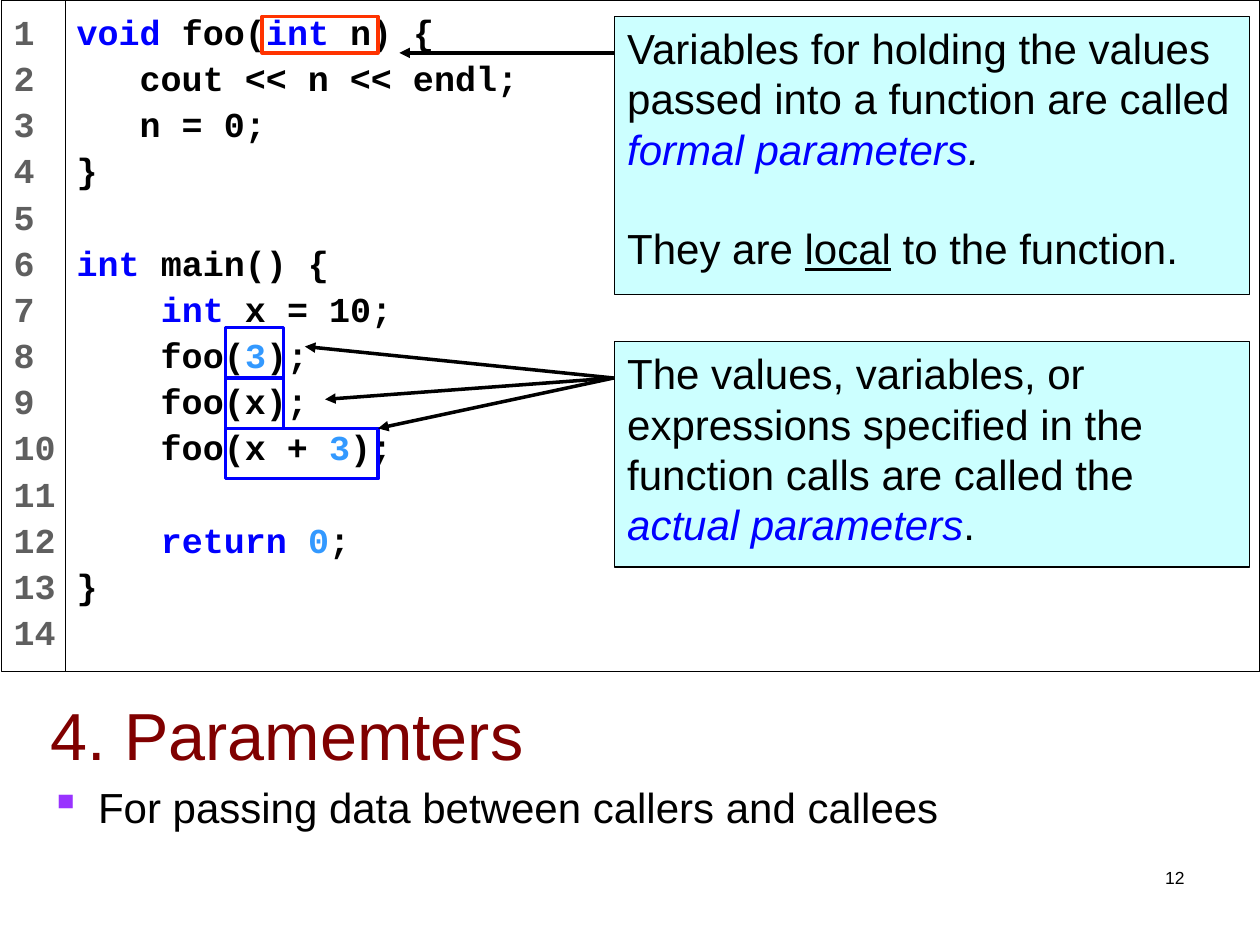
from lxml import etree
from pptx import Presentation
from pptx.dml.color import RGBColor
from pptx.enum.shapes import MSO_CONNECTOR, MSO_SHAPE
from pptx.enum.text import MSO_ANCHOR, PP_ALIGN
from pptx.oxml.ns import qn
from pptx.util import Inches, Pt

RECTANGLE = MSO_SHAPE.RECTANGLE
STRAIGHT = MSO_CONNECTOR.STRAIGHT
TOP, LEFT, RIGHT = MSO_ANCHOR.TOP, PP_ALIGN.LEFT, PP_ALIGN.RIGHT

THEME = {
    "black": "000000", "white": "FFFFFF", "keyword": "0000FF", "number": "3399FF",
    "gray": "5F5F5F", "title": "800000", "bullet": "9933FF", "callout": "CCFFFF",
    "formal": "FF3300", "actual": "0000FF",
    "sans": "Arial", "mono": "Courier New",
    "code_size": 20, "text_size": 24, "title_size": 38, "page_size": 10,
}

# Content: each paragraph is a list of (text, style) runs
CODE = [
    [("void", "keyword"), (" foo(", "code"), ("int", "keyword"), (" n) {", "code")],
    [("   cout << n << endl;", "code")],
    [("   n = 0;", "code")],
    [("}", "code")],
    [],
    [("int", "keyword"), (" main() {", "code")],
    [("    ", "code"), ("int", "keyword"), (" x = 10;", "code")],
    [("    foo(", "code"), ("3", "number"), (");", "code")],
    [("    foo(x);", "code")],
    [("    foo(x + ", "code"), ("3", "number"), (");", "code")],
    [],
    [("    ", "code"), ("return ", "keyword"), ("0", "number"), (";", "code")],
    [("}", "code")],
]
LINE_NUMBERS = [[(str(number), "line_number")] for number in range(1, 15)]
FORMAL_NOTE = [
    [("Variables for holding the values passed into a function are called ", "text"),
     ("formal parameters", "term"), (".", "italic")],
    [("They are ", "text"), ("local", "underlined"), (" to the function.", "text")],
]
ACTUAL_NOTE = [
    [("The values, variables, or expressions specified in the function calls "
      "are called the ", "text"), ("actual parameters", "term"), (".", "text")],
]
TITLE = [[("4. Paramemters", "title")]]
SUMMARY = [[("For passing data between callers and callees", "text")]]
PAGE = [[("12", "page")]]

# Run styles: colour key, font key, size key, extra font attributes
STYLES = {
    "code": ("black", "mono", "code_size", {"bold": True}),
    "keyword": ("keyword", "mono", "code_size", {"bold": True}),
    "number": ("number", "mono", "code_size", {"bold": True}),
    "line_number": ("gray", "mono", "code_size", {"bold": True}),
    "text": ("black", "sans", "text_size", {}),
    "term": ("keyword", "sans", "text_size", {"italic": True}),
    "italic": ("black", "sans", "text_size", {"italic": True}),
    "underlined": ("black", "sans", "text_size", {"underline": True}),
    "title": ("title", "sans", "title_size", {}),
    "page": ("black", "sans", "page_size", {}),
}

# Geometry in inches: left, top, width, height
PANELS = [
    ((0.51, 0, 9.49, 5.33), "white", CODE, {"line_spacing": 1.1}, 0.1),
    ((0.01, 0, 0.51, 5.33), "white", LINE_NUMBERS, {"line_spacing": 1.1}, 0),
    ((4.88, 0.13, 5.04, 2.21), "callout", FORMAL_NOTE, {}, 0.1),
    ((4.88, 2.71, 5.04, 1.79), "callout", ACTUAL_NOTE, {}, 0.1),
]
CALL_LEFT, CALL_TOP, CALL_HEIGHT = 1.79, 2.6, 0.4
CALL_WIDTHS = [0.46, 0.46, 1.21]
FRAMES = [((2.08, 0.13, 0.92, 0.29), "formal")] + [
    ((CALL_LEFT, CALL_TOP + row * CALL_HEIGHT, width, CALL_HEIGHT), "actual")
    for row, width in enumerate(CALL_WIDTHS)
]
ACTUAL_START = (4.87, 3)
ARROWS = [((4.88, 0.42), (3.17, 0.42))] + [
    (ACTUAL_START, end) for end in [(2.42, 2.75), (2.58, 3.17), (3, 3.4)]
]


def color(key):
    return RGBColor.from_string(THEME[key])


def inches(values):
    return [Inches(value) for value in values]


def write(shape, paragraphs, formats=None, right_inset=0.1):
    frame = shape.text_frame
    settings = {"word_wrap": True, "vertical_anchor": TOP,
                "margin_left": Inches(0.1), "margin_right": Inches(right_inset),
                "margin_top": Inches(0.05), "margin_bottom": Inches(0.05)}
    for name, value in settings.items():
        setattr(frame, name, value)
    for index, runs in enumerate(paragraphs):
        paragraph = frame.paragraphs[0] if index == 0 else frame.add_paragraph()
        for name, value in ({"alignment": LEFT} | (formats or {})).items():
            setattr(paragraph, name, value)
        if not runs:
            paragraph.font.size = Pt(THEME["code_size"])
            paragraph.font.name = THEME["mono"]
        for text, style in runs:
            color_key, font_key, size_key, extras = STYLES[style]
            run = paragraph.add_run()
            run.text = text
            run.font.color.rgb = color(color_key)
            values = {"name": THEME[font_key], "size": Pt(THEME[size_key])} | extras
            for name, value in values.items():
                setattr(run.font, name, value)


def add_box(slide, place, fill, line, width):
    shape = slide.shapes.add_shape(RECTANGLE, *inches(place))
    shape.shadow.inherit = False
    if fill:
        shape.fill.solid()
        shape.fill.fore_color.rgb = color(fill)
    else:
        shape.fill.background()
    shape.line.color.rgb = color(line)
    shape.line.width = Pt(width)
    return shape


def add_arrow(slide, start, end):
    arrow = slide.shapes.add_connector(STRAIGHT, *inches(start + end))
    arrow.line.color.rgb = color("black")
    arrow.line.width = Pt(2)
    etree.SubElement(arrow.line._get_or_add_ln(), qn("a:tailEnd"), type="triangle")
    etree.SubElement(arrow._element.spPr, qn("a:effectLst"))


def add_bullet(paragraph):
    properties = paragraph._p.get_or_add_pPr()
    properties.set("marL", str(Inches(0.38)))
    properties.set("indent", str(-Inches(0.38)))
    bullet_color = etree.SubElement(properties, qn("a:buClr"))
    etree.SubElement(bullet_color, qn("a:srgbClr"), val=THEME["bullet"])
    etree.SubElement(properties, qn("a:buChar"), char="▪")


def main():
    presentation = Presentation()
    presentation.slide_width, presentation.slide_height = inches((10, 7.5))
    slide = presentation.slides.add_slide(presentation.slide_layouts[5])

    # Code listing and callouts
    for place, fill, paragraphs, formats, right_inset in PANELS:
        panel = add_box(slide, place, fill, "black", 0.75)
        write(panel, paragraphs, formats, right_inset)
        if paragraphs is FORMAL_NOTE:
            panel.text_frame.paragraphs[1].space_before = Pt(28)

    # Title, summary and page number
    title = slide.shapes.title
    title.left, title.top, title.width, title.height = inches((0.3, 5.46, 9.54, 0.7))
    write(title, TITLE)
    summary = slide.shapes.add_textbox(*inches((0.3, 6.15, 9.54, 0.5)))
    write(summary, SUMMARY)
    add_bullet(summary.text_frame.paragraphs[0])
    page = slide.shapes.add_textbox(*inches((7.17, 6.83, 2.33, 0.5)))
    write(page, PAGE, {"alignment": RIGHT})

    # Parameter frames and arrows
    for place, line in FRAMES:
        add_box(slide, place, None, line, 2)
    for start, end in ARROWS:
        add_arrow(slide, start, end)

    presentation.save("out.pptx")


if __name__ == "__main__":
    main()
